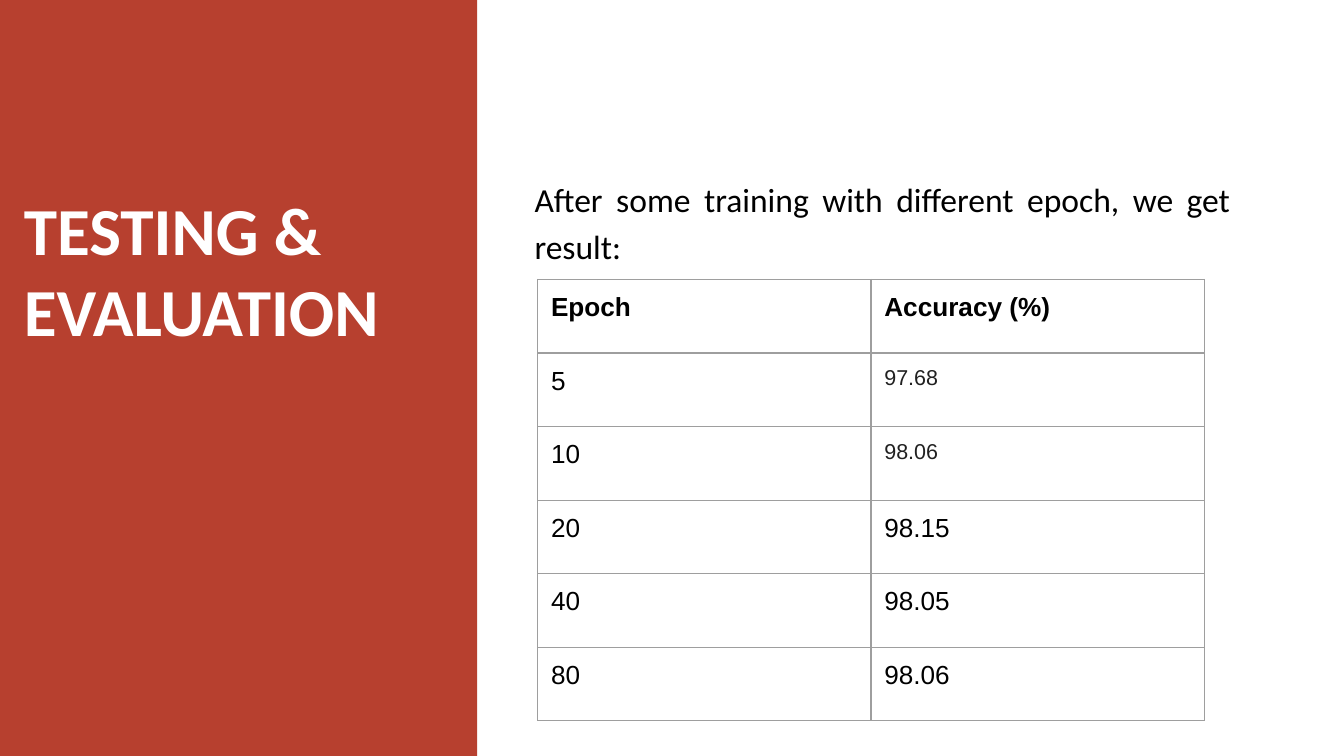
from dataclasses import dataclass

from lxml.etree import SubElement
from pptx import Presentation
from pptx.dml.color import RGBColor
from pptx.enum.shapes import MSO_SHAPE
from pptx.enum.text import MSO_ANCHOR, PP_ALIGN
from pptx.oxml.ns import qn
from pptx.slide import Slide
from pptx.table import _Cell
from pptx.text.text import TextFrame
from pptx.util import Emu, Pt

EMU_PER_PX = 2286
SLIDE_WIDTH, SLIDE_HEIGHT = 4000, 2250
PANEL_WIDTH = 1420
TABLE_LEFT, TABLE_TOP = 1600, 832
COLUMN_WIDTH, ROW_HEIGHT = 992, 219
CELL_MARGIN = 40
COLORS = {
    "panel": "B7402F",
    "title": "FFFFFF",
    "text": "000000",
    "muted": "212121",
    "border": "9E9E9E",
}


@dataclass(frozen=True)
class Style:
    font: str
    size: float
    color: str
    bold: bool = False
    align: PP_ALIGN = PP_ALIGN.LEFT
    spacing: float = 1.0


@dataclass(frozen=True)
class TextBlock:
    text: str
    box: tuple[int, int, int, int]
    margins: tuple[int, int]
    style: Style


@dataclass(frozen=True)
class Result:
    epoch: str
    accuracy: str
    accuracy_style: Style


HEADER = Style("Arial", 14, "text", bold=True)
BODY = Style("Arial", 14, "text")
MUTED = Style("Arial", 11.5, "muted")

INTRO = TextBlock(
    "After some training with different epoch, we get result:",
    (1562, 500, 2130, 368),
    (29, 15),
    Style("Calibri", 18, "text", align=PP_ALIGN.JUSTIFY, spacing=1.15),
)
TITLE = TextBlock(
    "TESTING & EVALUATION",
    (32, 521, 1312, 1312),
    (40, 40),
    Style("Calibri", 36, "title", bold=True),
)
RESULTS = [
    Result("5", "97.68", MUTED),
    Result("10", "98.06", MUTED),
    Result("20", "98.15", BODY),
    Result("40", "98.05", BODY),
    Result("80", "98.06", BODY),
]


def px(length: int) -> Emu:
    return Emu(length * EMU_PER_PX)


def rgb(name: str) -> RGBColor:
    return RGBColor.from_string(COLORS[name])


def write(frame: TextFrame, text: str, style: Style) -> None:
    frame.text = text
    paragraph = frame.paragraphs[0]
    paragraph.alignment = style.align
    paragraph.line_spacing = style.spacing
    font = paragraph.runs[0].font
    font.name, font.size, font.bold = style.font, Pt(style.size), style.bold
    font.color.rgb = rgb(style.color)


def draw_panel(slide: Slide) -> None:
    panel = slide.shapes.add_shape(
        MSO_SHAPE.RECTANGLE, 0, 0, px(PANEL_WIDTH), px(SLIDE_HEIGHT)
    )
    panel.shadow.inherit = False
    panel.fill.solid()
    panel.fill.fore_color.rgb = rgb("panel")
    panel.line.fill.background()


def draw_text(slide: Slide, block: TextBlock) -> None:
    frame = slide.shapes.add_textbox(*map(px, block.box)).text_frame
    frame.word_wrap = True
    frame.vertical_anchor = MSO_ANCHOR.TOP
    frame.margin_left = frame.margin_right = px(block.margins[0])
    frame.margin_top = frame.margin_bottom = px(block.margins[1])
    write(frame, block.text, block.style)


def draw_cell(cell: _Cell, text: str, style: Style) -> None:
    cell.margin_left = cell.margin_right = px(CELL_MARGIN)
    cell.margin_top = cell.margin_bottom = px(CELL_MARGIN)
    write(cell.text_frame, text, style)
    properties = cell._tc.get_or_add_tcPr()
    for side in ("lnL", "lnR", "lnT", "lnB"):
        border = SubElement(properties, qn(f"a:{side}"), w=str(Pt(0.75)))
        fill = SubElement(border, qn("a:solidFill"))
        SubElement(fill, qn("a:srgbClr"), val=COLORS["border"])
    cell.fill.background()


def draw_results(slide: Slide, results: list[Result]) -> None:
    rows = [(("Epoch", HEADER), ("Accuracy (%)", HEADER))]
    rows += [((r.epoch, BODY), (r.accuracy, r.accuracy_style)) for r in results]
    accuracy_table = slide.shapes.add_table(
        len(rows),
        len(rows[0]),
        px(TABLE_LEFT),
        px(TABLE_TOP),
        px(len(rows[0]) * COLUMN_WIDTH),
        px(len(rows) * ROW_HEIGHT),
    ).table
    accuracy_table.first_row = accuracy_table.horz_banding = False
    for row_index, row in enumerate(rows):
        for column_index, (text, style) in enumerate(row):
            draw_cell(accuracy_table.cell(row_index, column_index), text, style)


def main() -> None:
    """Build the testing and evaluation slide."""
    presentation = Presentation()
    presentation.slide_width = px(SLIDE_WIDTH)
    presentation.slide_height = px(SLIDE_HEIGHT)
    slide = presentation.slides.add_slide(presentation.slide_layouts[6])
    draw_panel(slide)
    draw_text(slide, INTRO)
    draw_text(slide, TITLE)
    draw_results(slide, RESULTS)
    presentation.save("out.pptx")


if __name__ == "__main__":
    main()
